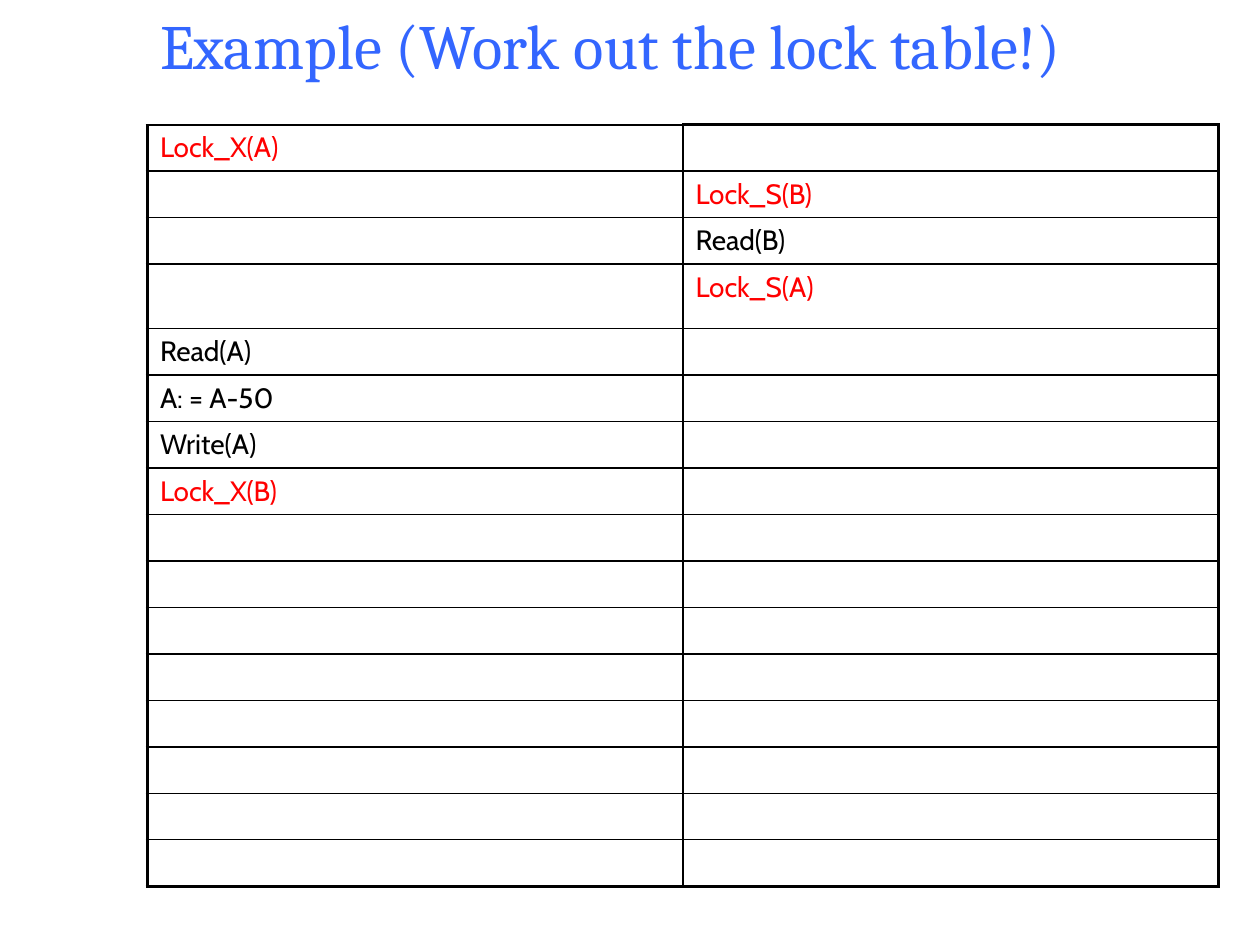
from dataclasses import dataclass

from lxml.etree import SubElement
from pptx import Presentation
from pptx.dml.color import RGBColor
from pptx.enum.text import MSO_ANCHOR, MSO_AUTO_SIZE, PP_ALIGN
from pptx.oxml.ns import qn
from pptx.util import Inches, Pt


@dataclass(frozen=True)
class Theme:
    title_font: str = "Cambria"
    body_font: str = "Cabin"
    title_size: float = 36
    body_size: float = 16
    title_color: str = "3366FF"
    lock_color: str = "FF0000"
    text_color: str = "000000"
    border_color: str = "000000"
    outer_border: float = 2.25
    inner_border: float = 1


THEME = Theme()

# Steps of the schedule: (first transaction, second transaction)
STEPS = [
    ("Lock_X(A)", ""),
    ("", "Lock_S(B)"),
    ("", "Read(B)"),
    ("", "Lock_S(A)"),
    ("Read(A)", ""),
    ("A: = A-50", ""),
    ("Write(A)", ""),
    ("Lock_X(B)", ""),
]
ROW_COUNT = 16
TALL_ROW, TALL_HEIGHT = 3, 0.51


def format_run(run, font, size, color):
    run.font.name = font
    run.font.size = Pt(size)
    run.font.color.rgb = RGBColor.from_string(color)


def add_title(slide, left, top, width, height):
    title = slide.shapes.title
    title.left, title.top, title.width, title.height = map(
        Inches, (left, top, width, height))
    frame = title.text_frame
    frame.text = "Example (Work out the lock table!)"
    frame.word_wrap = False
    frame.auto_size = MSO_AUTO_SIZE.NONE
    frame.vertical_anchor = MSO_ANCHOR.TOP
    paragraph = frame.paragraphs[0]
    paragraph.alignment = PP_ALIGN.LEFT
    paragraph.line_spacing = 1.0
    format_run(paragraph.runs[0], THEME.title_font, THEME.title_size,
               THEME.title_color)


def set_borders(cell, widths):
    """Draw the borders; widths maps L, R, T, B (in that order) to points."""
    properties = cell._tc.get_or_add_tcPr()
    for index, (side, width) in enumerate(widths.items()):
        line = SubElement(properties, qn(f"a:ln{side}"), w=str(Pt(width)))
        fill = SubElement(line, qn("a:solidFill"))
        SubElement(fill, qn("a:srgbClr"), val=THEME.border_color)
        properties.insert(index, line)


def fill_cell(cell, text):
    cell.fill.background()
    paragraph = cell.text_frame.paragraphs[0]
    if text:
        paragraph.text = text
        color = THEME.lock_color if text.startswith("Lock") else THEME.text_color
        format_run(paragraph.runs[0], THEME.body_font, THEME.body_size, color)
    else:
        # Keeps empty rows at the height of the filled ones
        end = SubElement(paragraph._p, qn("a:endParaRPr"),
                         sz=str(int(THEME.body_size * 100)))
        SubElement(end, qn("a:latin"), typeface=THEME.body_font)


def add_lock_table(slide, left, top, width, height):
    frame = slide.shapes.add_table(
        ROW_COUNT, 2, *map(Inches, (left, top, width, height)))
    table = frame.table
    table.first_row = table.horz_banding = False
    row_height = (height - TALL_HEIGHT) / (ROW_COUNT - 1)
    outer, inner = THEME.outer_border, THEME.inner_border

    for column in table.columns:
        column.width = Inches(width / 2)
    for row_index, row in enumerate(table.rows):
        row.height = Inches(TALL_HEIGHT if row_index == TALL_ROW else row_height)
        texts = STEPS[row_index] if row_index < len(STEPS) else ("", "")
        for column_index, (cell, text) in enumerate(zip(row.cells, texts)):
            fill_cell(cell, text)
            first, second = column_index == 0, column_index == 1
            set_borders(cell, {
                "L": outer if first else inner,
                "R": outer if second else inner,
                "T": outer if second and row_index == 0 else inner,
                "B": outer if row_index == ROW_COUNT - 1 else inner,
            })


def main():
    presentation = Presentation()
    presentation.slide_width = Inches(10)
    presentation.slide_height = Inches(7.5)
    slide = presentation.slides.add_slide(presentation.slide_layouts[5])
    add_lock_table(slide, 1.17, 0.99, 8.5, 6.04)
    add_title(slide, 1.17, 0, 7.94, 0.71)
    presentation.save("out.pptx")


if __name__ == "__main__":
    main()
